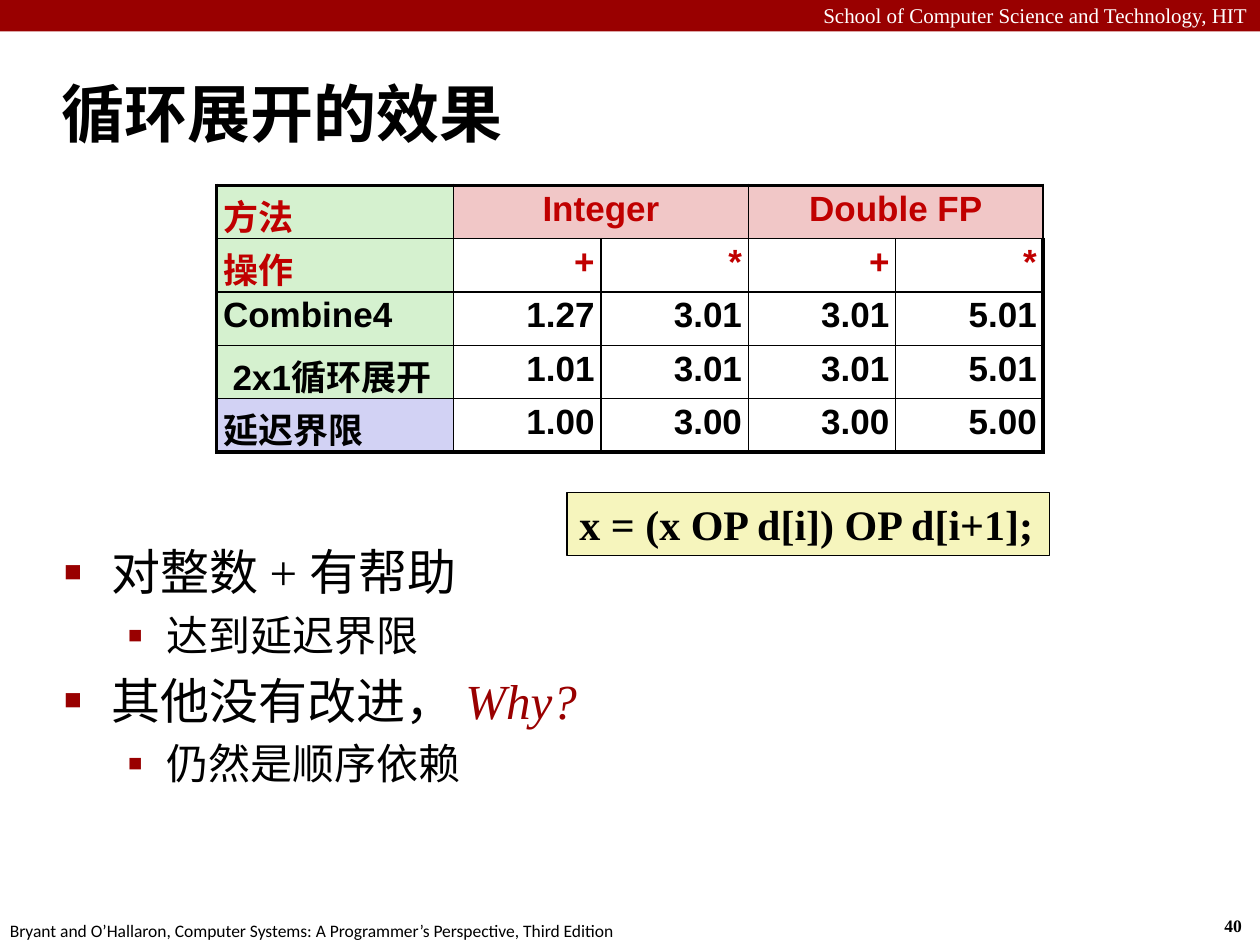
"""Build the slide on the effect of loop unrolling."""
from lxml.etree import SubElement
from pptx import Presentation
from pptx.dml.color import RGBColor
from pptx.enum.shapes import MSO_SHAPE as Shape
from pptx.enum.text import MSO_ANCHOR as Anchor, PP_ALIGN as Align
from pptx.oxml.ns import qn
from pptx.util import Inches, Pt

BLACK = RGBColor(0, 0, 0)
WHITE = RGBColor(255, 255, 255)
DARK_RED = RGBColor(0x99, 0, 0)
RED = RGBColor(0xC0, 0, 0)
GREEN = RGBColor(0xD5, 0xF1, 0xCF)
PINK = RGBColor(0xF1, 0xC7, 0xC7)
LAVENDER = RGBColor(0xD2, 0xD2, 0xF4)
YELLOW = RGBColor(0xF6, 0xF5, 0xBD)
SERIF = "Times New Roman"

deck = Presentation()
deck.slide_width, deck.slide_height = Inches(10), Inches(7.5)
COL, ROW = deck.slide_width / 100, deck.slide_height / 75
slide = deck.slides.add_slide(deck.slide_layouts[6])


def area(left, top, width, height):
    return int(left * COL), int(top * ROW), int(width * COL), int(height * ROW)


def style(paragraph, size, face, color, bold=False, align=Align.LEFT):
    font = paragraph.font
    font.size, font.name, font.bold = Pt(size), face, bold
    font.color.rgb = color
    paragraph.alignment = align


banner = slide.shapes.add_shape(Shape.RECTANGLE, *area(0, 0, 100, 2.5))
banner.shadow.inherit = False
banner.fill.solid()
banner.fill.fore_color.rgb = DARK_RED
banner.line.fill.background()

LABELS = [
    ("School of Computer Science and Technology, HIT", (0, -0.3, 100, 3),
     12, SERIF, WHITE, False, Align.RIGHT, True),
    ("40", (96.2, 72.1, 3.7, 2.7), 10, SERIF, BLACK, True, Align.LEFT, False),
    ("Bryant and O’Hallaron, Computer Systems: A Programmer’s Perspective, Third Edition",
     (-0.2, 72.5, 50.8, 2.7), 10, "Calibri", BLACK, False, Align.LEFT, False),
    ("循环展开的效果", (3.9, 4.8, 96.1, 8.3), 36, "Calibri", BLACK, True, Align.LEFT, True),
]
for words, place, size, face, color, bold, align, wraps in LABELS:
    label = slide.shapes.add_textbox(*area(*place)).text_frame
    label.word_wrap = wraps
    label.vertical_anchor = Anchor.MIDDLE if size == 36 else Anchor.TOP
    label.text = words
    style(label.paragraphs[0], size, face, color, bold, align)

LEVELS = [(28, 0.38, 0.38, 6, "■", 60), (24, 0.81, 0.31, 5, "▪", 110)]
POINTS = [
    (0, "对整数 + 有帮助", ""),
    (1, "达到延迟界限", ""),
    (0, "其他没有改进， ", "Why?"),
    (1, "仍然是顺序依赖", ""),
]
findings = slide.shapes.add_textbox(*area(4.1, 42.5, 90.9, 29.2)).text_frame
findings.word_wrap = True
for number, (level, words, question) in enumerate(POINTS):
    size, margin, hang, gap, mark, percent = LEVELS[level]
    point = findings.add_paragraph() if number else findings.paragraphs[0]
    point.level = level
    point.space_before = Pt(gap)
    style(point, size, SERIF, BLACK)
    point.add_run().text = words
    if question:
        asked = point.add_run()
        asked.text = question
        asked.font.italic = True
        asked.font.color.rgb = DARK_RED
    props = point._p.get_or_add_pPr()
    props.set("marL", str(Inches(margin)))
    props.set("indent", str(-Inches(hang)))
    bullet = [("buClr", {}), ("buSzPct", {"val": str(percent * 1000)}),
              ("buFont", {"typeface": "Arial"}), ("buChar", {"char": mark})]
    parts = [props.makeelement(qn(f"a:{tag}"), values) for tag, values in bullet]
    SubElement(parts[0], qn("a:srgbClr"), val=str(DARK_RED))
    for offset, part in enumerate(parts):
        props.insert(1 + offset, part)

formula = slide.shapes.add_shape(Shape.RECTANGLE, *area(45, 39.1, 38.3, 5))
formula.shadow.inherit = False
formula.fill.solid()
formula.fill.fore_color.rgb = YELLOW
formula.line.color.rgb = BLACK
formula.line.width = Pt(1)
formula.text_frame.word_wrap = False
formula.text_frame.vertical_anchor = Anchor.TOP
formula.text_frame.text = "x = (x OP d[i]) OP d[i+1];"
style(formula.text_frame.paragraphs[0], 24, SERIF, BLACK, True)

TIMINGS = [
    ["方法", "Integer", "", "Double FP", ""],
    ["操作", "+", "*", "+", "*"],
    ["Combine4", "1.27", "3.01", "3.01", "5.01"],
    [" 2x1循环展开", "1.01", "3.01", "3.01", "5.01"],
    ["延迟界限", "1.00", "3.00", "3.00", "5.00"],
]
last = len(TIMINGS) - 1
timings = slide.shapes.add_table(5, 5, *area(17.2, 14.7, 65.7, 21.2)).table
timings.first_row = timings.horz_banding = False
for index in range(5):
    timings.columns[index].width = int((11.7 if index else 18.8) * COL)
    timings.rows[index].height = int(4.24 * ROW)
for start in (1, 3):
    timings.cell(0, start).merge(timings.cell(0, start + 1))

for r, record in enumerate(TIMINGS):
    for c, words in enumerate(record):
        cell = timings.cell(r, c)
        cell.margin_left = cell.margin_right = Inches(0.05)
        cell.margin_top = cell.margin_bottom = Inches(0.05)
        cell.text = words
        entry = cell.text_frame.paragraphs[0]
        entry.line_spacing = 0.95
        align = Align.LEFT if c == 0 else Align.CENTER if r == 0 else Align.RIGHT
        style(entry, 20, "Arial", RED if r < 2 else BLACK, True, align)
        outer = {"lnL": c == 0, "lnR": c == last, "lnT": r == 0, "lnB": r == last}
        for side, is_outer in outer.items():
            border = SubElement(cell._tc.get_or_add_tcPr(), qn(f"a:{side}"),
                                w=str(Pt(2.25 if is_outer else 1)))
            SubElement(SubElement(border, qn("a:solidFill")), qn("a:srgbClr"), val=str(BLACK))
        if c and r:
            cell.fill.background()
        else:
            cell.fill.solid()
            cell.fill.fore_color.rgb = PINK if c else LAVENDER if r == last else GREEN

deck.save("out.pptx")
